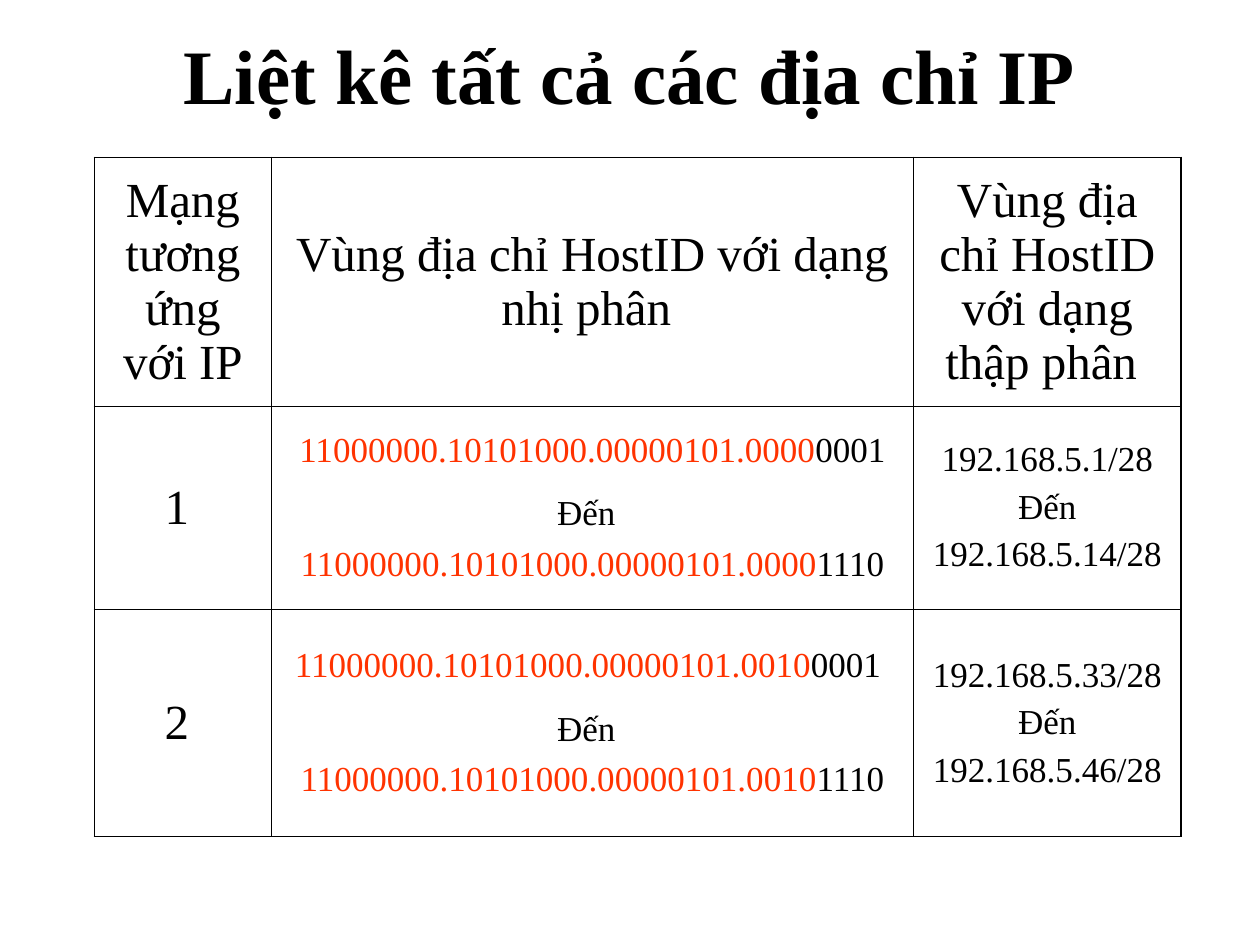
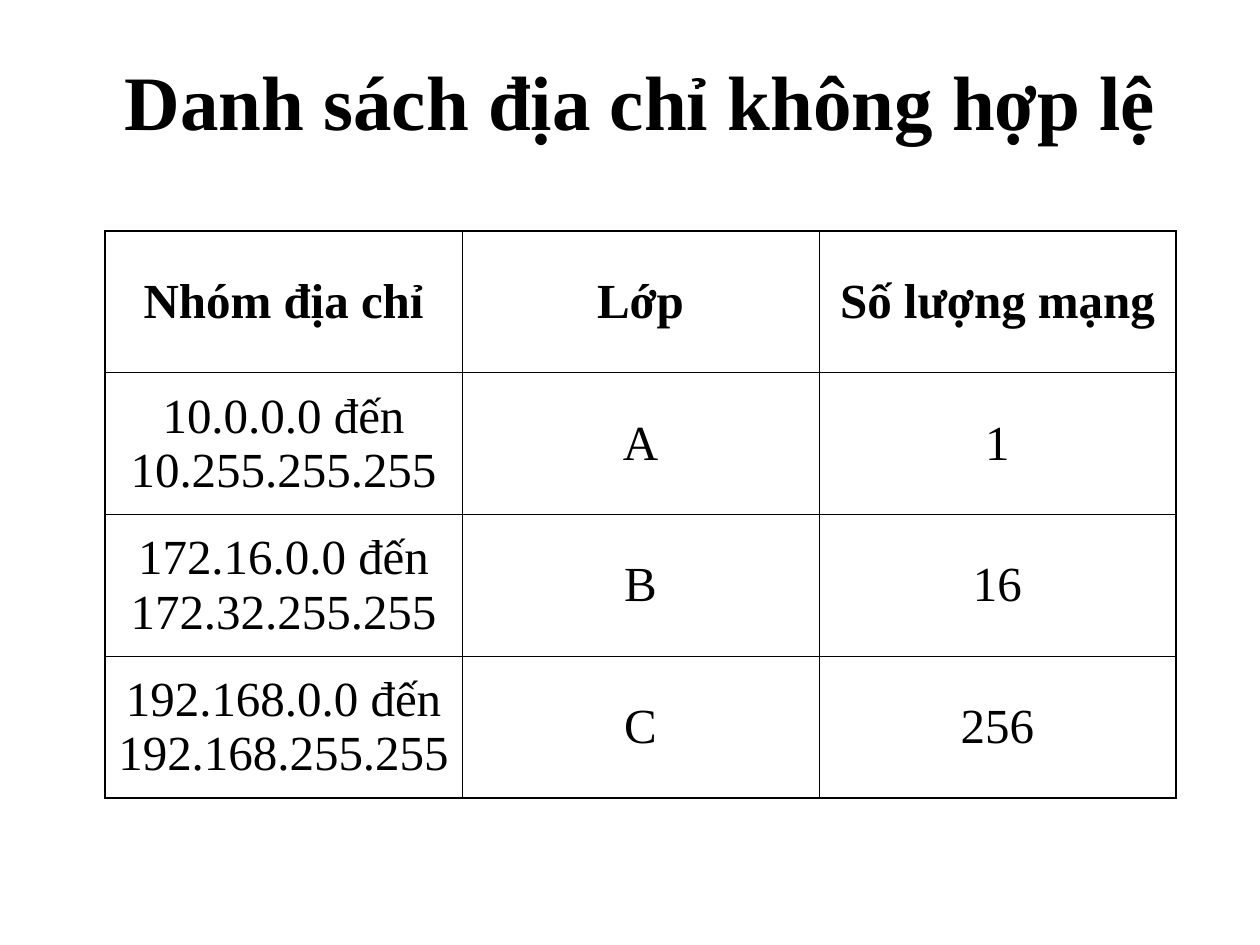
"""Builds two slides with tables of host addresses and invalid address groups."""
from lxml import etree
from pptx import Presentation
from pptx import util as u
from pptx.dml import color
from pptx.enum import text
from pptx.oxml import ns

FONT = "Times New Roman"
BLACK = "000000"
RED = "FF3300"
TITLE_SIZE, LARGE, SMALL = 44, 28, 20
OUTER_LINE, INNER_LINE = 1.08, 0.45


def style(font, size, code=BLACK, bold=False):
    """Format a font."""
    font.name = FONT
    font.size = u.Pt(size)
    font.bold = bold
    font.color.rgb = color.RGBColor.from_string(code)


def add_borders(cell, outer_sides):
    """Draw thick lines on the outer sides of a cell and thin ones elsewhere."""
    properties = cell._tc.get_or_add_tcPr()
    for index, side in enumerate("LRTB"):
        width = OUTER_LINE if side in outer_sides else INNER_LINE
        line = etree.Element(ns.qn(f"a:ln{side}"), w=str(int(u.Pt(width))))
        fill = etree.SubElement(line, ns.qn("a:solidFill"))
        etree.SubElement(fill, ns.qn("a:srgbClr"), val=BLACK)
        properties.insert(index, line)


host_rows = [[[[(label, LARGE, BLACK)]] for label in (
    "Mạng tương ứng với IP",
    "Vùng địa chỉ HostID với dạng nhị phân ",
    "Vùng địa chỉ HostID với dạng thập phân ",
)]]
for number, subnet, first_bits, first_host, last_host in (
    ("1 ", "0000", "0001", 1, 14),
    ("2 ", "0010", "0001 ", 33, 46),
):
    network = (f"11000000.10101000.00000101.{subnet}", SMALL, RED)
    until = ("Đến", SMALL, BLACK)
    host_rows.append([
        [[(number, LARGE, BLACK)]],
        [
            [network, (first_bits, SMALL, BLACK)],
            [until, (" ", LARGE, BLACK)],
            [network, ("1110", SMALL, BLACK)],
        ],
        [
            [(f"192.168.5.{first_host}/28", SMALL, BLACK)],
            [until],
            [(f"192.168.5.{last_host}/28", SMALL, BLACK)],
        ],
    ])

group_rows = [[[[(label, LARGE, BLACK)]] for label in row] for row in (
    ("Nhóm địa chỉ", "Lớp", "Số lượng mạng"),
    ("10.0.0.0 đến 10.255.255.255", "A", "1"),
    ("172.16.0.0 đến 172.32.255.255", "B", "16"),
    ("192.168.0.0 đến 192.168.255.255", "C", "256"),
)]

pages = [
    ("Liệt kê tất cả các địa chỉ IP", 54, 60, 90,
     [101, 367, 153], [142, 116, 130], host_rows, False),
    ("Danh sách địa chỉ không hợp lệ ", 60, 90, 132,
     [204] * 3, [81] * 4, group_rows, True),
]

deck = Presentation()
deck.slide_width, deck.slide_height = u.Pt(720), u.Pt(540)

for heading, left, title_height, top, widths, heights, rows, bold_header in pages:
    page = deck.slides.add_slide(deck.slide_layouts[5])
    title = page.shapes.title
    title.left, title.top = u.Pt(left), u.Pt(12)
    title.width, title.height = u.Pt(612), u.Pt(title_height)
    title.text_frame.text = heading
    title.text_frame.auto_size = text.MSO_AUTO_SIZE.NONE
    title.text_frame.vertical_anchor = text.MSO_ANCHOR.MIDDLE
    para = title.text_frame.paragraphs[0]
    para.alignment = text.PP_ALIGN.CENTER
    style(para.runs[0].font, TITLE_SIZE, bold=True)

    table = page.shapes.add_table(
        len(heights), len(widths), u.Pt(left), u.Pt(top),
        u.Pt(sum(widths)), u.Pt(sum(heights))).table
    table.first_row = table.horz_banding = False
    for column, width in zip(table.columns, widths):
        column.width = u.Pt(width)

    for r, row in enumerate(rows):
        table.rows[r].height = u.Pt(heights[r])
        for c, lines in enumerate(row):
            cell = table.cell(r, c)
            cell.vertical_anchor = text.MSO_ANCHOR.MIDDLE
            cell.fill.background()
            edges = {"L": c == 0, "R": c == len(widths) - 1,
                     "T": r == 0, "B": r == len(heights) - 1}
            add_borders(cell, [side for side, outer in edges.items() if outer])
            for i, spans in enumerate(lines):
                frame = cell.text_frame
                para = frame.add_paragraph() if i else frame.paragraphs[0]
                para.alignment = text.PP_ALIGN.CENTER
                if i:
                    para.space_before = u.Pt(7 if len(spans) > 1 and i == 1 else 5)
                for words, size, code in spans:
                    span = para.add_run()
                    span.text = words
                    style(span.font, size, code, bold_header and r == 0)

deck.save("out.pptx")
